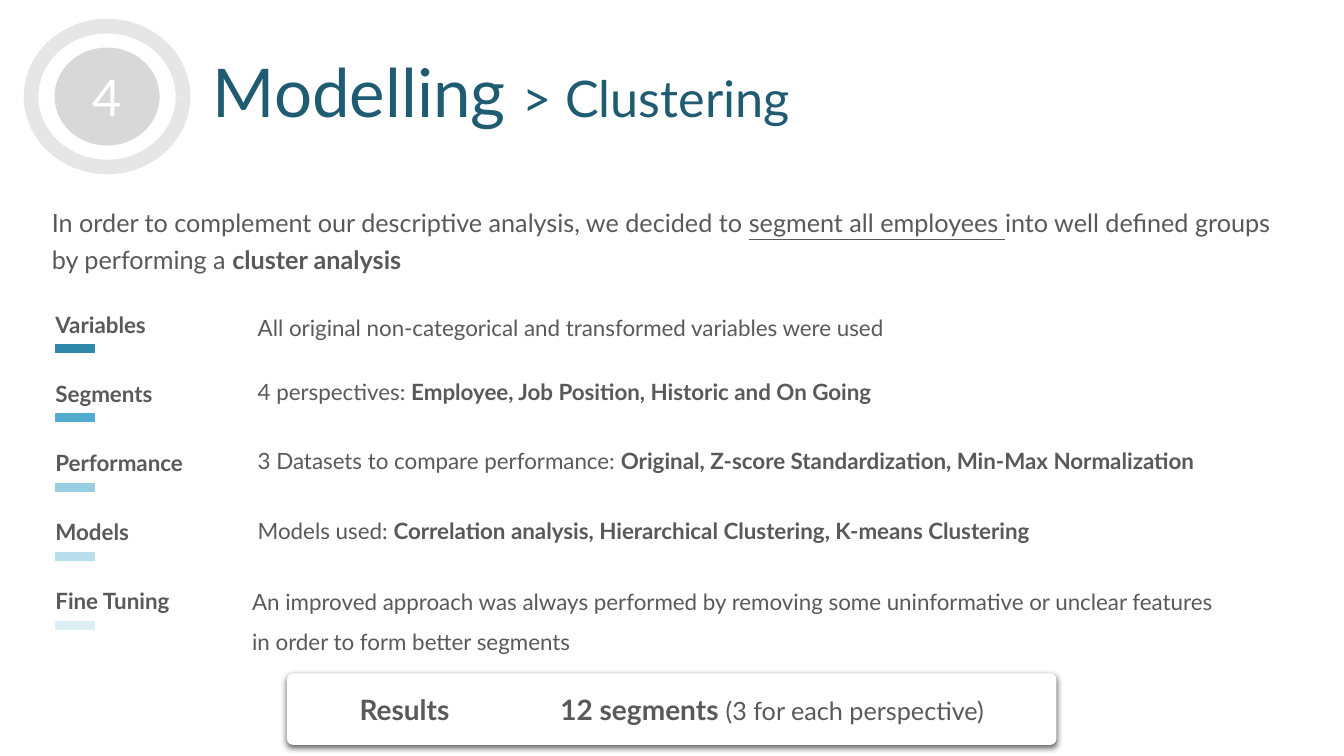
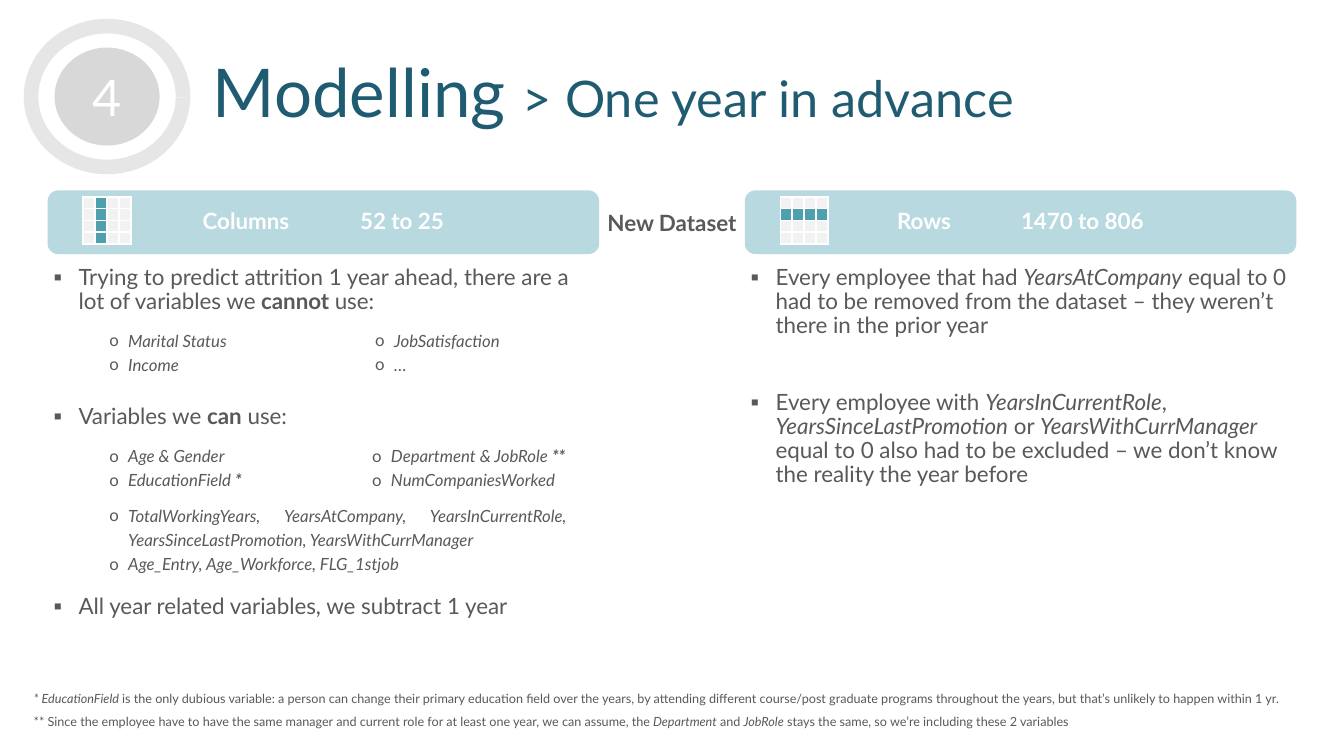
from lxml import etree
from pptx import Presentation
from pptx.dml.color import RGBColor as RGB
from pptx.enum.shapes import MSO_SHAPE as SHAPE
from pptx.enum.text import MSO_ANCHOR as ANCHOR, PP_ALIGN as ALIGN
from pptx.oxml.ns import qn
from pptx.util import Pt

FONT = "Lato"
WHITE = RGB(0xFF, 0xFF, 0xFF)
BLACK = RGB(0, 0, 0)
GREY = RGB(0x59, 0x59, 0x59)
NAVY = RGB(0x1F, 0x5B, 0x71)
RING = RGB(0xE7, 0xE6, 0xE6)
DISC = RGB(0xBF, 0xBF, 0xBF)
BAND = RGB(0xB8, 0xD9, 0xDF)
CELL = RGB(0xF2, 0xF2, 0xF2)
TEAL = RGB(0x4E, 0xA0, 0xAE)
BLUES = [RGB(0x2F, 0x88, 0xA9), RGB(0x51, 0xAD, 0xCF), RGB(0x97, 0xCE, 0xE2),
         RGB(0xB9, 0xDE, 0xEC), RGB(0xDC, 0xEF, 0xF5)]


def child(parent, tag, **attrs):
    return etree.SubElement(parent, qn(tag), {k: str(v) for k, v in attrs.items()})


def fill_xml(parent, color, alpha=None):
    clr = child(child(parent, "a:solidFill"), "a:srgbClr", val=color)
    if alpha:
        child(clr, "a:alpha", val=alpha * 1000)


class Deck:
    def __init__(self):
        self.prs = Presentation()
        self.prs.slide_width, self.prs.slide_height = Pt(960), Pt(540)
        self.s = None

    def slide(self, number, topic):
        self.s = self.prs.slides.add_slide(self.prs.slide_layouts[6])
        ring = self.shape(SHAPE.BLOCK_ARC, 17, 13.5, 119, 111, RING)
        for i, value in enumerate((0.6, 0.421, 0.094)):
            ring.adjustments[i] = value
        disc = self.shape(SHAPE.OVAL, 39, 34, 75, 70, DISC)
        clr = disc.fill._xPr.find(qn("a:solidFill"))[0]
        child(clr, "a:alpha", val=60000)
        self.para(disc.text_frame, [(number, "")], 36, WHITE, align=ALIGN.CENTER)
        self.text(145, 39, 780, 60, [[("Modelling ", "", 48), ("> " + topic, "")]],
                  36, NAVY, spacing=0.9)

    def shape(self, kind, x, y, w, h, color):
        sp = self.s.shapes.add_shape(kind, Pt(x), Pt(y), Pt(w), Pt(h))
        sp.shadow.inherit = False
        sp.fill.solid()
        sp.fill.fore_color.rgb = color
        sp.line.fill.background()
        sp.text_frame.vertical_anchor = ANCHOR.MIDDLE
        return sp

    def para(self, tf, runs, size, color=GREY, spacing=1, before=0,
             align=ALIGN.LEFT, bullet=None, indent=(0, 0), tabs=()):
        first = not tf.paragraphs[0].runs
        p = tf.paragraphs[0] if first else tf.add_paragraph()
        p.alignment, p.line_spacing = align, spacing
        if before:
            p.space_before = Pt(before)
        pPr = p._p.get_or_add_pPr()
        if bullet:
            left, hang = indent
            pPr.set("marL", str(Pt(left)))
            pPr.set("indent", str(Pt(-hang)))
            child(pPr, "a:buFont", typeface=FONT)
            child(pPr, "a:buChar", char=bullet)
        if tabs:
            stops = child(pPr, "a:tabLst")
            for pos in tabs:
                child(stops, "a:tab", pos=Pt(pos), algn="l")
        for text, style, *own in runs:
            r = p.add_run()
            r.text = text
            r.font.name = FONT
            r.font.size = Pt(own[0] if own else size)
            r.font.color.rgb = color
            r.font.bold = "b" in style
            r.font.italic = "i" in style
            r.font.underline = "u" in style

    def text(self, x, y, w, h, paras, size, color=GREY, columns=1, befores=(), **style):
        tf = self.s.shapes.add_textbox(Pt(x), Pt(y), Pt(w), Pt(h)).text_frame
        tf.word_wrap = True
        if columns > 1:
            tf._txBody.bodyPr.set("numCol", str(columns))
            tf._txBody.bodyPr.set("spcCol", "0")
        for i, runs in enumerate(paras):
            before = befores[i] if befores else 0
            self.para(tf, runs, size, color, before=before, **style)

    def points(self, x, y, w, h, paras, befores):
        self.text(x, y, w, h, paras, 16, befores=befores, spacing=0.9,
                  bullet="▪", indent=(18, 18))

    def subpoints(self, y, w, h, paras, columns=1, align=ALIGN.LEFT):
        self.text(35, y, w, h, paras, 12, columns=columns, spacing=1.2,
                  align=align, bullet="o", indent=(49.5, 13.5))

    def topic(self, y, label, color, bar_y, x, detail_y, detail):
        self.text(32.5, y, 150, 36, [[(label, "b")]], 16, spacing=1.5)
        bar = self.shape(SHAPE.RECTANGLE, 39.5, bar_y, 28, 5.5, color)
        bar.line.color.rgb = color
        bar.line.width = Pt(1)
        self.text(x, detail_y, 716, 32, [detail], 16, spacing=1.5)

    def result(self, x, y, w, h, runs, tabs):
        sp = self.shape(SHAPE.ROUNDED_RECTANGLE, x, y, w, h, WHITE)
        sp.adjustments[0] = 0.08
        effects = sp._element.spPr.find(qn("a:effectLst"))
        shadow = child(effects, "a:outerShdw", blurRad=Pt(4.5), dist=Pt(1.5),
                       dir=5400000, algn="t", rotWithShape=0)
        child(child(shadow, "a:srgbClr", val=BLACK), "a:alpha", val=63000)
        self.para(sp.text_frame, runs, 20, tabs=tabs)

    def band(self, x, label, tabs, marked):
        sp = self.shape(SHAPE.ROUNDED_RECTANGLE, x, 136, 394, 45.5, BAND)
        self.para(sp.text_frame, [(label, "b")], 16, WHITE, spacing=0.9, tabs=tabs)
        self.grid(x + 25.5, 140.5, 4, 8.5, marked)

    def grid(self, x, y, n, cell_size, marked):
        side = Pt(n * cell_size)
        table = self.s.shapes.add_table(n, n, Pt(x), Pt(y), side, side).table
        table.first_row = table.horz_banding = False
        for i in range(n):
            table.columns[i].width = table.rows[i].height = Pt(cell_size)
            for j in range(n):
                cell = table.cell(i, j)
                cell.margin_left = cell.margin_right = 0
                cell.margin_top = cell.margin_bottom = 0
                child(cell.text_frame.paragraphs[0]._p, "a:endParaRPr", sz=100)
                tcPr = cell._tc.get_or_add_tcPr()
                for edge in "LRTB":
                    fill_xml(child(tcPr, "a:ln" + edge, w=Pt(1.5)), WHITE)
                cell.fill.solid()
                cell.fill.fore_color.rgb = TEAL if marked(i, j) else CELL


def clustering(d):
    d.slide("4", "Clustering")
    d.text(30, 140.5, 894, 71, [[
        ("In order to complement our descriptive analysis, we decided to ", ""),
        ("segment all employees ", "u"),
        ("into well defined groups by performing a ", ""),
        ("cluster analysis", "b")]], 18, spacing=1.2)
    topics = [
        ("Variables", 177, 211.5,
         [("All original non-categorical and transformed variables were used", "")]),
        ("Segments", 177, 257,
         [("4 perspectives: ", ""),
          ("Employee, Job Position, Historic and On Going", "b")]),
        ("Performance", 177, 306.5,
         [("3 Datasets to compare performance: ", ""),
          ("Original, Z-score Standardization, Min-Max Normalization", "b")]),
        ("Models", 177, 356.5,
         [("Models used: ", ""),
          ("Correlation analysis, Hierarchical Clustering, K-means Clustering", "b")]),
        ("Fine Tuning", 173, 407,
         [("An improved approach was always performed by removing some uninformative "
           "or unclear features in order to form better segments", "")]),
    ]
    for i, (label, x, y, detail) in enumerate(topics):
        d.topic(209 + 49.3 * i, label, BLUES[i], 246.2 + 49.5 * i, x, y, detail)
    d.result(205, 481, 549.5, 51, [("\tResults\t12 segments ", "b"),
                                   ("(3 for each perspective)", "", 18)], (43.5, 187))


def one_year(d):
    d.slide("4", "One year in advance")
    d.band(34, "\tColumns\t52 to 25", (101.5, 214), lambda i, j: j == 1)
    d.band(532, "\tRows\t1470 to 806", (99.5, 188), lambda i, j: i == 1)
    d.text(406, 145.5, 148, 27, [[("New Dataset", "b")]], 16, align=ALIGN.CENTER)
    d.points(31, 186.5, 394, 270, [
        [("Trying to predict attrition 1 year ahead, there are a lot of variables we", ""),
         (" cannot ", "b"), ("use:", "")],
        [("Variables we ", ""), ("can", "b"), (" use:", "")],
        [("All year related variables, we subtract 1 year", "")]], (0, 65, 118.5))
    d.points(529, 186.5, 404, 193, [
        [("Every employee that had ", ""), ("YearsAtCompany", "i"),
         (" equal to 0 had to be removed from the dataset – they weren’t there "
          "in the prior year", "")],
        [("Every employee with ", ""), ("YearsInCurrentRole", "i"), (", ", ""),
         ("YearsSinceLastPromotion", "i"), (" or ", ""), ("YearsWithCurrManager", "i"),
         (" equal to 0 also had to be excluded – we don’t know the reality "
          "the year before", "")]], (0, 37.5))
    d.subpoints(229.5, 394, 42.5, [
        [(name, "i")] for name in ("Marital Status", "Income", "JobSatisfaction", "…")],
        columns=2)
    d.subpoints(312, 389.5, 42.5, [
        [("Age & Gender", "i")],
        [("EducationField ", "i"), ("*", "bi")],
        [("Department & JobRole ", "i"), ("**", "bi")],
        [("NumCompaniesWorked", "i")]], columns=2)
    d.subpoints(354.5, 377, 58, [
        [("TotalWorkingYears, YearsAtCompany, YearsInCurrentRole, "
          "YearsSinceLastPromotion, YearsWithCurrManager", "i")],
        [("Age_Entry, Age_Workforce, FLG_1stjob", "i")]], align=ALIGN.JUSTIFY)
    d.text(17, 484.5, 926, 38, [
        [("* EducationField", "i"),
         (" is the only dubious variable: a person can change their primary education "
          "field over the years, by attending different course/post graduate programs "
          "throughout the years, but that’s unlikely to happen within 1 yr.", "")],
        [("** Since the employee have to have the same manager and current role for at "
          "least one year, we can assume, the ", ""),
         ("Department", "i"), (" and ", ""), ("JobRole", "i"),
         (" stays the same, so we’re including these 2 variables", "")]], 9, spacing=1.5)


def main():
    d = Deck()
    clustering(d)
    one_year(d)
    d.prs.save("out.pptx")


if __name__ == "__main__":
    main()
